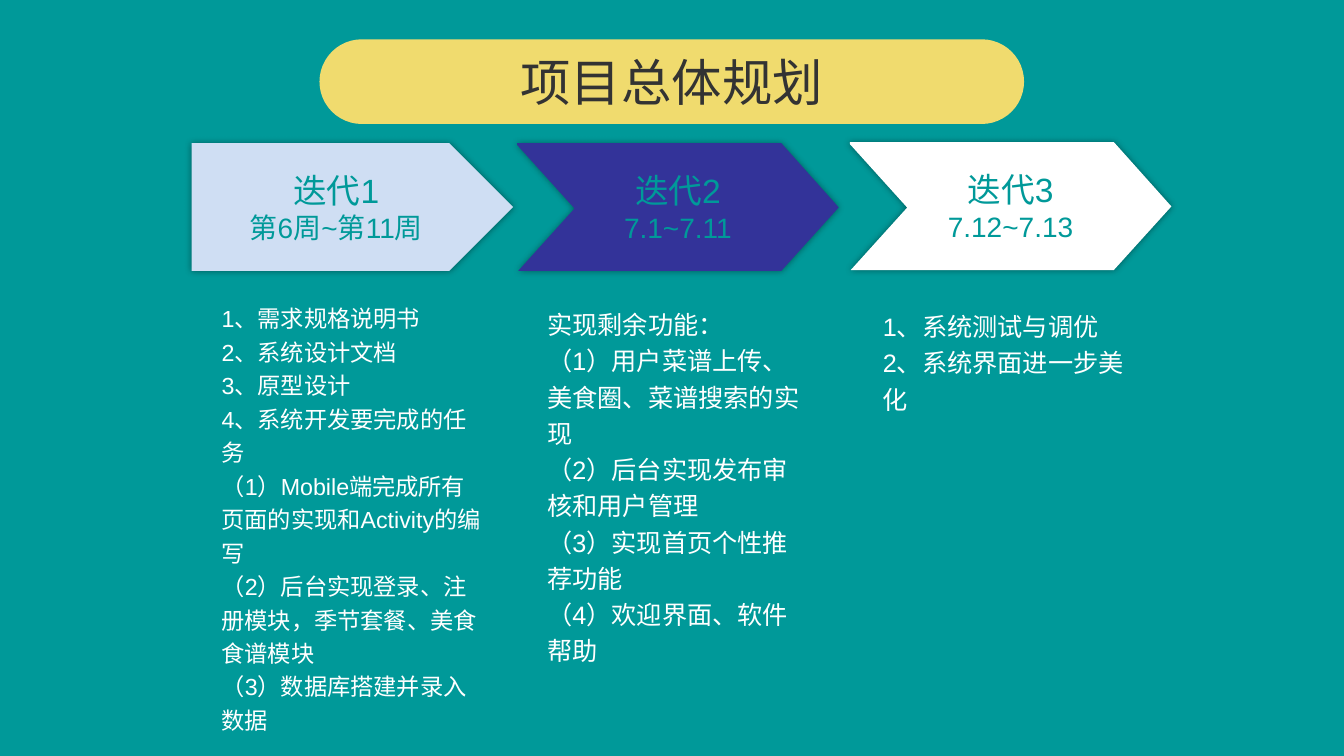
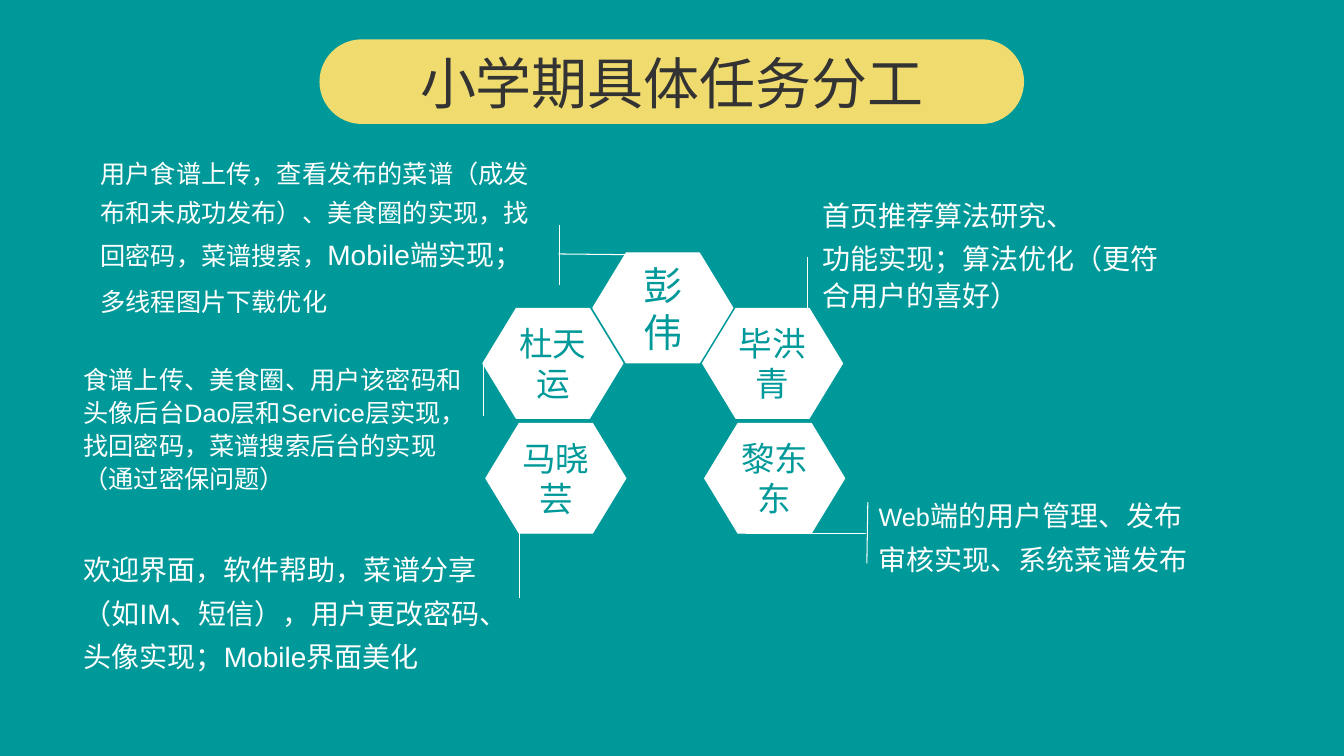
from lxml import etree
from pptx import Presentation
from pptx.dml.color import RGBColor
from pptx.enum.shapes import MSO_CONNECTOR, MSO_SHAPE
from pptx.enum.text import MSO_ANCHOR, MSO_AUTO_SIZE, PP_ALIGN
from pptx.oxml.ns import qn
from pptx.util import Pt

STRAIGHT = MSO_CONNECTOR.STRAIGHT
PILL, PENTAGON, HEXAGON = (
    MSO_SHAPE.ROUNDED_RECTANGLE, MSO_SHAPE.PENTAGON, MSO_SHAPE.HEXAGON)
TOP, MIDDLE = MSO_ANCHOR.TOP, MSO_ANCHOR.MIDDLE
LEFT, CENTER = PP_ALIGN.LEFT, PP_ALIGN.CENTER
NO_AUTOFIT = MSO_AUTO_SIZE.NONE

COLORS = {
    "teal": "009999",
    "yellow": "F0DB6E",
    "dark": "333333",
    "pale blue": "CFDEF3",
    "indigo": "333399",
    "white": "FFFFFF",
    "black": "000000",
}
FONT = "Arial"
TITLE_BOX = (228.2, 28.1, 503.3, 60.5)
ARROW_SIZE = (229.7, 91.4)
CHEVRON = [(0, 0), (188.6, 0), (229.7, 46), (188.6, 91.4),
           (0.7, 91.4), (41, 46.8), (0, 1.4)]
COLUMN_SIZE = (200.2, 302.4)
HEXAGON_SIZE = (100.1, 78.5)


def rgb(name):
    return RGBColor.from_string(COLORS[name])


def points(*lengths):
    return [Pt(length) for length in lengths]


class Deck:
    """Shared style and the slide being filled."""

    def __init__(self):
        self.prs = Presentation()
        self.prs.slide_width, self.prs.slide_height = points(960, 540)
        self.layout = self.prs.slide_layouts[5]
        background = self.prs.slide_master.background.fill
        background.solid()
        background.fore_color.rgb = rgb("teal")
        self.slide = None

    def new_slide(self, title, size):
        self.slide = self.prs.slides.add_slide(self.layout)
        heading = self.slide.shapes.title
        heading.left, heading.top, heading.width, heading.height = points(*TITLE_BOX)
        self.set_text(heading, [title], size, "dark", CENTER, MIDDLE)
        # The band lies behind the title
        band = self.slide.shapes.add_shape(PILL, *points(*TITLE_BOX))
        band.adjustments[0] = 0.5
        self.paint(band, "yellow")
        heading.element.addprevious(band.element)

    def paint(self, shape, fill, line=None):
        shape.shadow.inherit = False
        shape.fill.solid()
        shape.fill.fore_color.rgb = rgb(fill)
        if line:
            shape.line.color.rgb = rgb(line)
            shape.line.width = Pt(0.75)
        else:
            shape.line.fill.background()

    def glow(self, shape):
        effects = shape.element.spPr.find(qn("a:effectLst"))
        shadow = etree.SubElement(effects, qn("a:outerShdw"),
                                  blurRad=str(Pt(5)), dist="0", dir="0")
        color = etree.SubElement(shadow, qn("a:srgbClr"), val=COLORS["black"])
        etree.SubElement(color, qn("a:alpha"), val="40000")

    def set_text(self, shape, lines, size, color, align, anchor, spacing=1.0, before=0):
        """Each line is a text, or a (text, size) pair, or a list of such pairs."""
        frame = shape.text_frame
        frame.word_wrap = True
        frame.auto_size = NO_AUTOFIT
        frame.vertical_anchor = anchor
        for index, line in enumerate(lines):
            paragraph = frame.add_paragraph() if index else frame.paragraphs[0]
            paragraph.alignment = align
            paragraph.line_spacing = spacing
            paragraph.space_before = Pt(before)
            font = paragraph.font
            font.name, font.size, font.color.rgb = FONT, Pt(size), rgb(color)
            if isinstance(line, list):
                for words, run_size in line:
                    run = paragraph.add_run()
                    run.text = words
                    run.font.size = Pt(run_size)
            elif isinstance(line, tuple):
                paragraph.add_run().text = line[0]
                font.size = Pt(line[1])
            else:
                paragraph.add_run().text = line

    def text(self, box, lines, size, spacing, anchor=TOP, before=0):
        area = self.slide.shapes.add_textbox(*points(*box))
        self.set_text(area, lines, size, "white", LEFT, anchor, spacing, before)

    def arrow(self, left, top, fill, heading, dates, notched):
        shapes = self.slide.shapes
        if notched:
            outline = [points(left + x, top + y) for x, y in CHEVRON]
            builder = shapes.build_freeform(*outline[0])
            builder.add_line_segments(outline[1:], close=True)
            stage = builder.convert_to_shape()
        else:
            stage = shapes.add_shape(PENTAGON, *points(left, top, *ARROW_SIZE))
        self.paint(stage, fill)
        self.glow(stage)
        self.set_text(stage, [heading, (dates, 20)], 24, "teal", CENTER, MIDDLE)

    def hexagon(self, left, top, person, size):
        cell = self.slide.shapes.add_shape(HEXAGON, *points(left, top, *HEXAGON_SIZE))
        cell.adjustments[0] = 0.304
        self.paint(cell, "white", "white")
        self.set_text(cell, [person], size, "teal", CENTER, MIDDLE)

    def line(self, *ends):
        rule = self.slide.shapes.add_connector(STRAIGHT, *points(*ends))
        rule.line.color.rgb = rgb("white")
        rule.line.width = Pt(0.75)
        etree.SubElement(rule.element.spPr, qn("a:effectLst"))


def plan_slide(deck):
    deck.new_slide("项目总体规划", 36)

    # Stage arrows
    stages = [
        (136.8, 102.2, "pale blue", "迭代1", "第6周~第11周", False),
        (369.4, 102.2, "indigo", "迭代2", "7.1~7.11", True),
        (607, 101.5, "white", "迭代3", "7.12~7.13", True),
    ]
    for stage in stages:
        deck.arrow(*stage)

    # Tasks under each stage
    tasks = [
        (151.2, 210.2, 16.6, [
            "1、需求规格说明书",
            "2、系统设计文档",
            "3、原型设计",
            "4、系统开发要完成的任务",
            "（1）Mobile端完成所有页面的实现和Activity的编写",
            "（2）后台实现登录、注册模块，季节套餐、美食食谱模块",
            "（3）数据库搭建并录入数据",
        ]),
        (383.8, 213.1, 18, [
            "实现剩余功能：",
            "（1）用户菜谱上传、美食圈、菜谱搜索的实现",
            "（2）后台实现发布审核和用户管理",
            "（3）实现首页个性推荐功能",
            "（4）欢迎界面、软件帮助",
        ]),
        (623.5, 214.6, 18, ["1、系统测试与调优", "2、系统界面进一步美化"]),
    ]
    for left, top, size, items in tasks:
        deck.text((left, top, *COLUMN_SIZE), items, size, 1.2)


def team_slide(deck):
    deck.new_slide("小学期具体任务分工", 40)

    # Team members
    members = [
        (423.4, 180.7, "彭伟", 28),
        (501.8, 220.3, "毕洪青", 24),
        (503.3, 302.4, "黎东东", 24),
        (344.9, 220.3, "杜天运", 24),
        (347, 302.4, "马晓芸", 24),
    ]
    for member in members:
        deck.hexagon(*member)

    # Lines from members to their tasks
    leaders = [
        (399.6, 203.8, 399.6, 160.6),
        (398.9, 181.4, 475.9, 182.2),
        (576.7, 222.5, 576.7, 183.6),
        (532.8, 380.9, 618.5, 380.9),
        (619.2, 402.5, 619.9, 358.6),
        (345.6, 297.4, 345.6, 258.5),
        (370.8, 427, 370.8, 370.8),
    ]
    for leader in leaders:
        deck.line(*leader)

    # Task descriptions
    duties = [
        ((64.8, 122.4, 334.1, 87.8), 18, 1.3, MIDDLE, [
            [("用户食谱上传，查看发布的菜谱（成发布和未成功发布）、美食圈的实现，"
              "找回密码，菜谱搜索，", 18), ("Mobile端实现；", 20)],
            "多线程图片下载优化",
        ]),
        ((52.6, 251.3, 293.8, 108), 18, 1.1, MIDDLE, [
            "食谱上传、美食圈、用户该密码和头像后台Dao层和Service层实现，"
            "找回密码，菜谱搜索后台的实现（通过密保问题）",
        ]),
        ((52.6, 383.8, 326.2, 118.1), 20, 1.3, TOP, [
            "欢迎界面，软件帮助，菜谱分享（如IM、短信），用户更改密码、"
            "头像实现；Mobile界面美化",
        ]),
        ((580.3, 133.2, 271.4, 95.8), 20, 1.1, MIDDLE, [
            "首页推荐算法研究、",
            "功能实现；算法优化（更符合用户的喜好）",
        ]),
        ((620.6, 323.3, 240.5, 113.8), 20, 1.3, MIDDLE, [
            [("Web", 18), ("端的用户管理、发布审核实现、系统菜谱发布", 20)],
        ]),
    ]
    for box, size, spacing, anchor, lines in duties:
        deck.text(box, lines, size, spacing, anchor, before=4)


def main():
    deck = Deck()
    plan_slide(deck)
    team_slide(deck)
    deck.prs.save("out.pptx")


if __name__ == "__main__":
    main()
